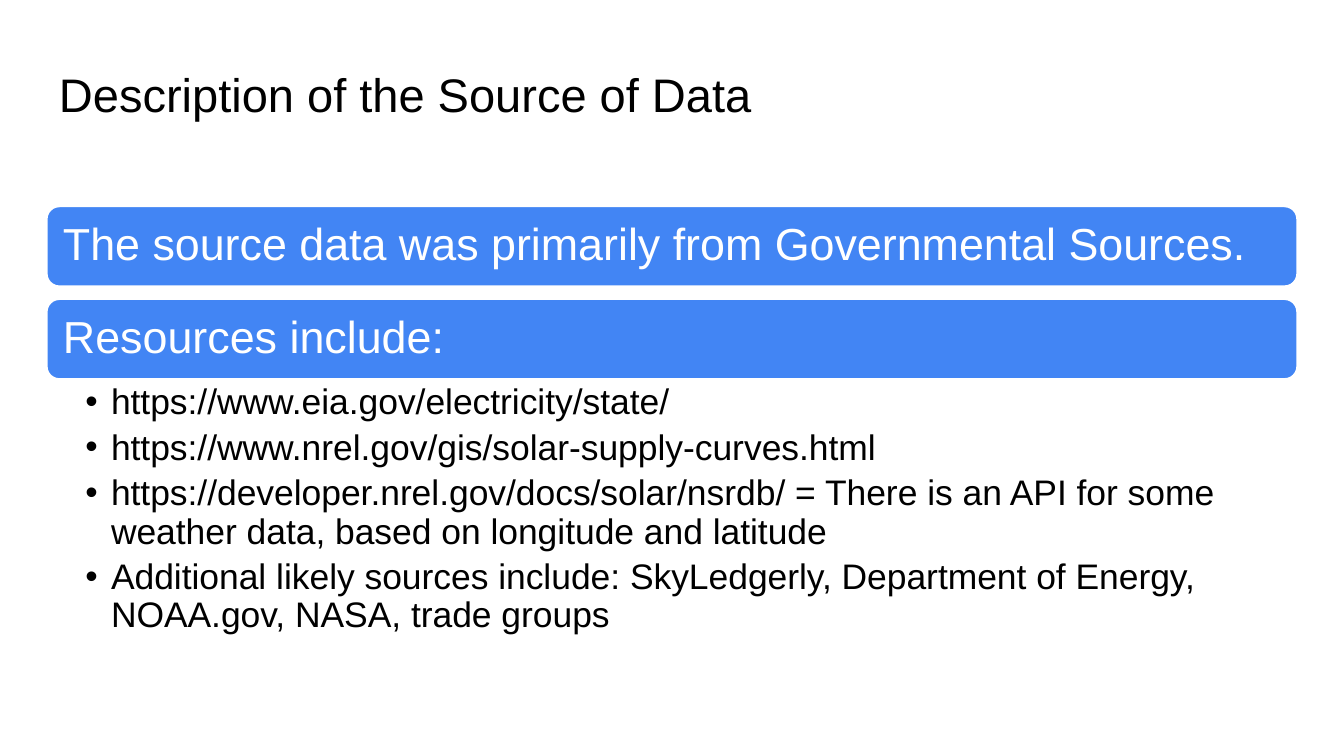
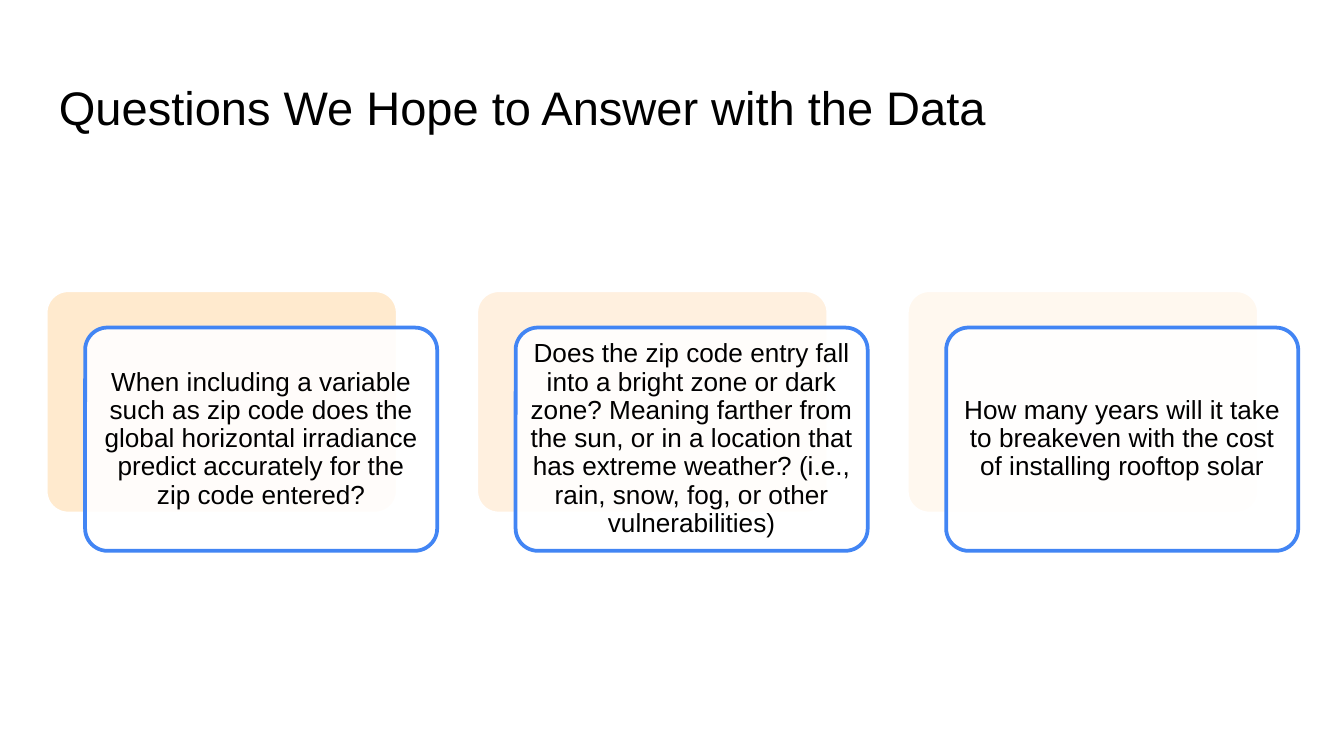
from dataclasses import dataclass

from lxml.etree import SubElement
from pptx import Presentation
from pptx.dml.color import RGBColor
from pptx.enum.shapes import MSO_SHAPE
from pptx.enum.text import MSO_ANCHOR, PP_ALIGN
from pptx.oxml.ns import qn
from pptx.util import Pt


@dataclass(frozen=True)
class Theme:
    """Colours, font and type sizes shared by the slides."""
    font: str = "Arial"
    ink: str = "000000"
    paper: str = "FFFFFF"
    accent: str = "4285F4"
    tints: tuple = (("FFCD8C", 42), ("FFDDB3", 42), ("FFEED9", 41))
    title: float = 25.2
    band: float = 24
    bullet: float = 19
    card: float = 14
    line: float = 2


T = Theme()
LEFT, WIDTH = 24.5, 671

BANDS = ["The source data was primarily from Governmental Sources.", "Resources include:"]
SOURCES = [
    "https://www.eia.gov/electricity/state/",
    "https://www.nrel.gov/gis/solar-supply-curves.html",
    "https://developer.nrel.gov/docs/solar/nsrdb/ = There is an API for some weather data, "
    "based on longitude and latitude",
    "Additional likely sources include: SkyLedgerly, Department of Energy, NOAA.gov, NASA, "
    "trade groups",
]
QUESTIONS = [
    "When including a variable such as zip code does the global horizontal irradiance "
    "predict accurately for the zip code entered?",
    "Does the zip code entry fall into a bright zone or dark zone? Meaning farther from the "
    "sun, or in a location that has extreme weather? (i.e., rain, snow, fog, or other "
    "vulnerabilities)",
    "How many years will it take to breakeven with the cost of installing rooftop solar",
]


def apply(obj, values):
    """Set each named attribute of an object."""
    for name, value in values.items():
        setattr(obj, name, value)


def write(tf, lines, size, color, insets, anchor=MSO_ANCHOR.TOP, **para):
    """Fill a text frame, one paragraph for each line."""
    margins = zip(("left", "top", "right", "bottom"), insets)
    apply(tf, {"word_wrap": True, "vertical_anchor": anchor,
               **{f"margin_{side}": Pt(v) for side, v in margins}})
    for i, line in enumerate(lines):
        p = tf.add_paragraph() if i else tf.paragraphs[0]
        apply(p, para)
        r = p.add_run()
        r.text = line
        apply(r.font, {"name": T.font, "size": Pt(size)})
        r.font.color.rgb = RGBColor.from_string(color)


def round_box(s, box, fill, line, alpha=100, radius=None):
    """Add a rounded rectangle with an optional translucent fill."""
    sp = s.shapes.add_shape(MSO_SHAPE.ROUNDED_RECTANGLE, *map(Pt, box))
    sp.shadow.inherit = False
    sp.fill.solid()
    sp.fill.fore_color.rgb = RGBColor.from_string(fill)
    sp.line.color.rgb = RGBColor.from_string(line)
    sp.line.width = Pt(T.line)
    if radius is not None:
        sp.adjustments[0] = radius
    if alpha < 100:
        clr = sp.fill._xPr.find(qn("a:solidFill"))[0]
        SubElement(clr, qn("a:alpha"), val=str(alpha * 1000))
    return sp


def title(s, box, text, **para):
    """Add the slide title."""
    tf = s.shapes.add_textbox(*map(Pt, box)).text_frame
    write(tf, [text], T.title, T.ink, [7.2] * 4, **para)


def bands(s, box, texts, gap=5.8):
    """Stack equal headline bands in the box."""
    x, y, w, h = box
    band_h = (h - gap * (len(texts) - 1)) / len(texts)
    for i, text in enumerate(texts):
        sp = round_box(s, (x, y + i * (band_h + gap), w, band_h), T.accent, T.paper)
        write(sp.text_frame, [text], T.band, T.paper, [7.2] * 4, MSO_ANCHOR.MIDDLE,
              alignment=PP_ALIGN.LEFT, line_spacing=0.9)


def bullets(s, box, lines, indent=13.7):
    """Add a bulleted list with hanging indents."""
    tf = s.shapes.add_textbox(*map(Pt, box)).text_frame
    write(tf, lines, T.bullet, T.ink, (21.3, 1.9, 13.7, 1.9),
          level=1, line_spacing=0.9, space_after=Pt(3.8))
    for p in tf.paragraphs:
        pPr = p._p.get_or_add_pPr()
        pPr.set("marL", str(Pt(indent)))
        pPr.set("indent", str(-Pt(indent)))
        SubElement(pPr, qn("a:buFont"), typeface=T.font)
        SubElement(pPr, qn("a:buChar"), char="•")


def cards(s, box, texts, card_w=188.6, dx=21.1, dy=20):
    """Spread question cards, each over a tinted backing, across the box."""
    x, y, w, h = box
    step = (w - dx - card_w) / (len(texts) - 1)
    card_h = h - dy
    for i, (text, (tint, alpha)) in enumerate(zip(texts, T.tints)):
        left = x + i * step
        round_box(s, (left, y, card_w, card_h), tint, T.paper, alpha, 0.1)
        sp = round_box(s, (left + dx, y + dy, card_w, card_h), T.paper, T.accent, 90, 0.1)
        write(sp.text_frame, [text], T.card, T.ink, [4.2] * 4, MSO_ANCHOR.MIDDLE,
              alignment=PP_ALIGN.CENTER, line_spacing=0.9)


def source_slide(s):
    """Lay out the data source slide."""
    title(s, (LEFT, 13, WIDTH, 66), "Description of the Source of Data",
          line_spacing=1.5, space_before=Pt(16))
    bands(s, (LEFT, 110, WIDTH, 93.6), BANDS)
    bullets(s, (LEFT, 204, WIDTH, 136.6), SOURCES)


def question_slide(s):
    """Lay out the questions slide."""
    title(s, (LEFT, 35, WIDTH, 45), "Questions We Hope to Answer with the Data")
    cards(s, (LEFT, 155.5, WIDTH, 139.6), QUESTIONS)


def main():
    """Build and save the presentation."""
    prs = Presentation()
    apply(prs, {"slide_width": Pt(720), "slide_height": Pt(405)})
    for build in (source_slide, question_slide):
        build(prs.slides.add_slide(prs.slide_layouts[6]))
    prs.save("out.pptx")


if __name__ == "__main__":
    main()
